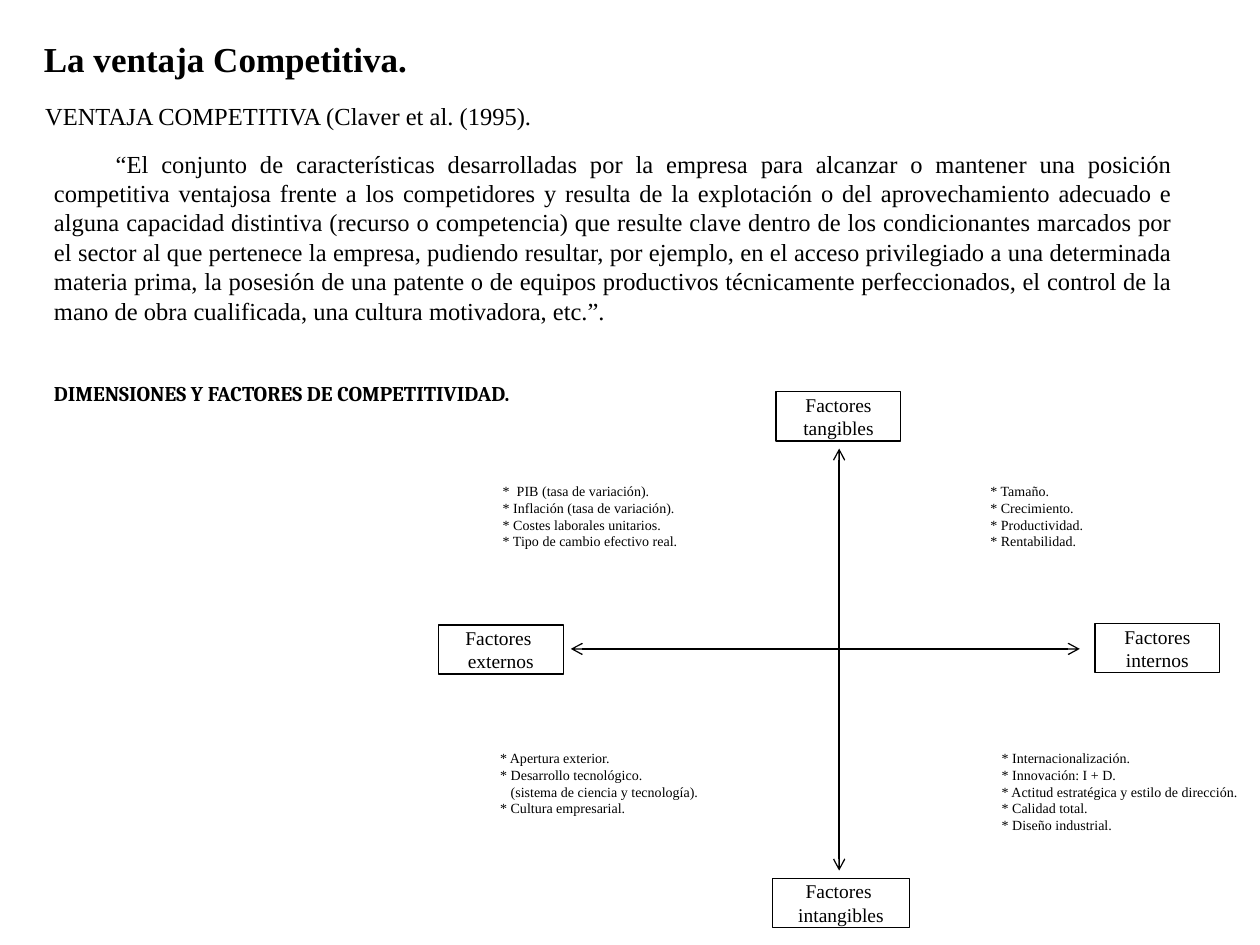
"""Build the slide on competitive advantage and its four groups of factors."""
from lxml.etree import SubElement
from pptx import Presentation
from pptx.dml.color import RGBColor
from pptx.enum.shapes import MSO_CONNECTOR, MSO_SHAPE
from pptx.enum.text import MSO_ANCHOR, PP_ALIGN
from pptx.oxml.ns import qn
from pptx.util import Inches, Pt

BLACK = RGBColor(0, 0, 0)
SERIF = "Times New Roman"
QUOTE = (
    "“El conjunto de características desarrolladas por la empresa para alcanzar o mantener "
    "una posición competitiva ventajosa frente a los competidores y resulta de la explotación "
    "o del aprovechamiento adecuado e alguna capacidad distintiva (recurso o competencia) que "
    "resulte clave dentro de los condicionantes marcados por el sector al que pertenece la "
    "empresa, pudiendo resultar, por ejemplo, en el acceso privilegiado a una determinada "
    "materia prima, la posesión de una patente o de equipos productivos técnicamente "
    "perfeccionados, el control de la mano de obra cualificada, una cultura motivadora, etc.”."
)
HEADS = [
    ("La ventaja Competitiva.", (0.25, 0.25, 5, 0.44), 20, SERIF, True),
    ("VENTAJA COMPETITIVA (Claver et al. (1995).", (0.26, 0.75, 4.14, 0.34), 14, SERIF, False),
    ("DIMENSIONES Y FACTORES DE COMPETITIVIDAD.", (0.33, 2.97, 4.58, 0.34), 12, "Cambria", True),
]
AXES = [((6.66, 3.56), (6.66, 6.91)), ((4.53, 5.15), (8.57, 5.15))]
POLES = [
    (["Factores", "internos"], (8.69, 4.95, 0.99, 0.39)),
    (["Factores ", "externos"], (3.48, 4.96, 0.99, 0.39)),
    (["Factores ", "intangibles"], (6.13, 6.97, 1.09, 0.39)),
    (["Factores tangibles"], (6.16, 3.11, 0.99, 0.39)),
]
LISTS = [
    (["*  PIB (tasa de variación).", "* Inflación (tasa de variación).",
      "* Costes laborales unitarios.", "* Tipo de cambio efectivo real."],
     (3.98, 3.82, 1.68, 0.59)),
    (["* Tamaño.", "* Crecimiento.", "* Productividad.", "* Rentabilidad."],
     (7.85, 3.82, 1.18, 0.59)),
    (["* Internacionalización.", "* Innovación: I + D.",
      "* Actitud estratégica y estilo de dirección.", "* Calidad total.",
      "* Diseño industrial."],
     (7.94, 5.94, 2.07, 0.99)),
    (["* Apertura exterior.", "* Desarrollo tecnológico.",
      "   (sistema de ciencia y tecnología).", "* Cultura empresarial."],
     (3.96, 5.94, 1.87, 0.79)),
]


def write(shape, lines, size, font=SERIF, bold=False, align=PP_ALIGN.LEFT, inset=None):
    frame = shape.text_frame
    frame.word_wrap = True
    frame.vertical_anchor = MSO_ANCHOR.TOP
    if inset is not None:
        frame.margin_left = frame.margin_right = Inches(inset)
        frame.margin_top = frame.margin_bottom = Inches(inset)
    frame.text = "\n".join(lines)
    for para in frame.paragraphs:
        para.alignment = align
        para.font.name, para.font.size, para.font.bold = font, Pt(size), bold
        para.font.color.rgb = BLACK
    return frame


def add_axis(shapes, start, end):
    axis = shapes.add_connector(MSO_CONNECTOR.STRAIGHT, *map(Inches, start + end))
    axis.line.color.rgb = BLACK
    axis.line.width = Pt(0.75)
    line = axis.line._get_or_add_ln()
    for tip in ("a:headEnd", "a:tailEnd"):
        SubElement(line, qn(tip), type="arrow")
    SubElement(axis._element.spPr, qn("a:effectLst"))


def add_pole(shapes, lines, place):
    box = shapes.add_shape(MSO_SHAPE.RECTANGLE, *map(Inches, place))
    box.shadow.inherit = False
    box.fill.background()
    box.line.color.rgb = BLACK
    box.line.width = Pt(0.75)
    write(box, lines, 11.1, align=PP_ALIGN.CENTER, inset=0.01)


def add_text(shapes, lines, place, size, **style):
    return write(shapes.add_textbox(*map(Inches, place)), lines, size, **style)


def main():
    deck = Presentation()
    deck.slide_width, deck.slide_height = Inches(10), Inches(7.5)
    shapes = deck.slides.add_slide(deck.slide_layouts[6]).shapes
    for start, end in AXES:
        add_axis(shapes, start, end)
    for lines, place in POLES:
        add_pole(shapes, lines, place)
    for lines, place in LISTS:
        add_text(shapes, lines, place, 8, inset=0.01)
    for text, place, size, font, bold in HEADS:
        add_text(shapes, [text], place, size, font=font, bold=bold)
    quote = add_text(shapes, [QUOTE], (0.33, 1.13, 9.08, 1.74), 14, align=PP_ALIGN.JUSTIFY)
    quote.paragraphs[0]._p.get_or_add_pPr().set("indent", str(Inches(0.49)))
    deck.save("out.pptx")


if __name__ == "__main__":
    main()
